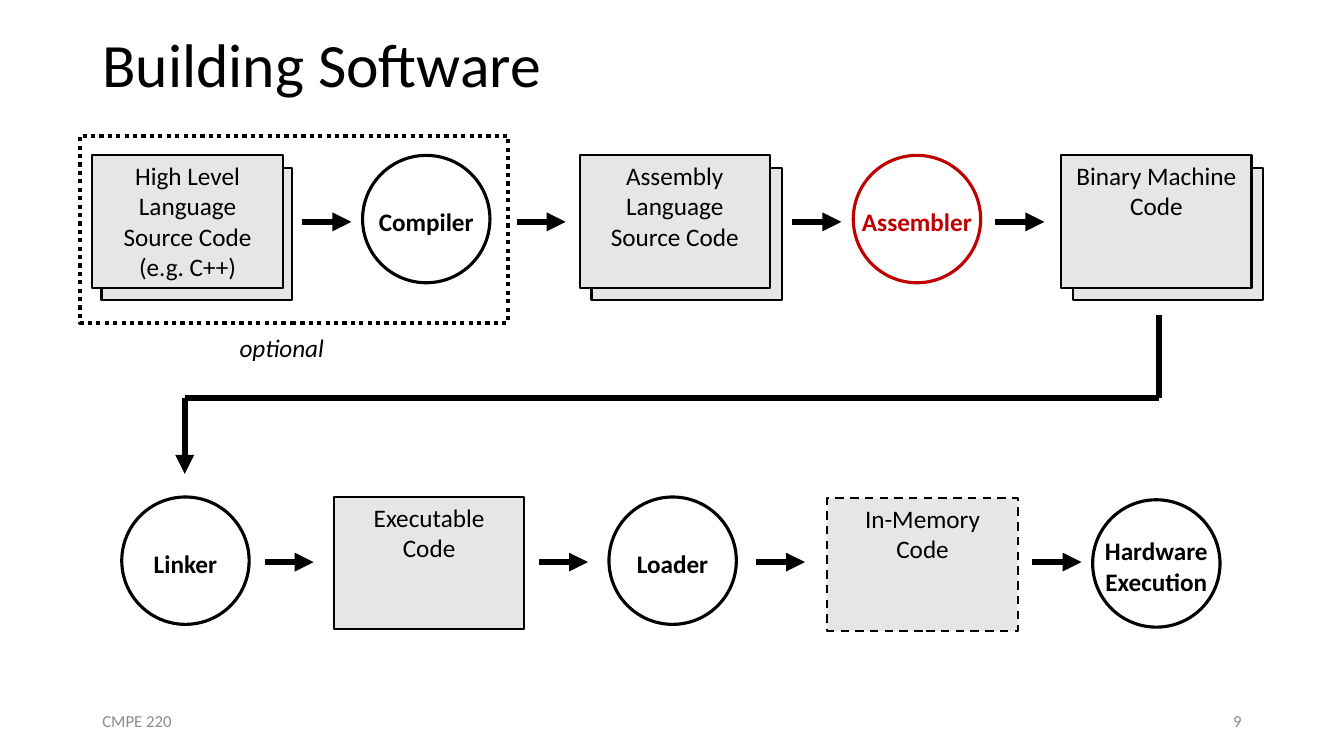
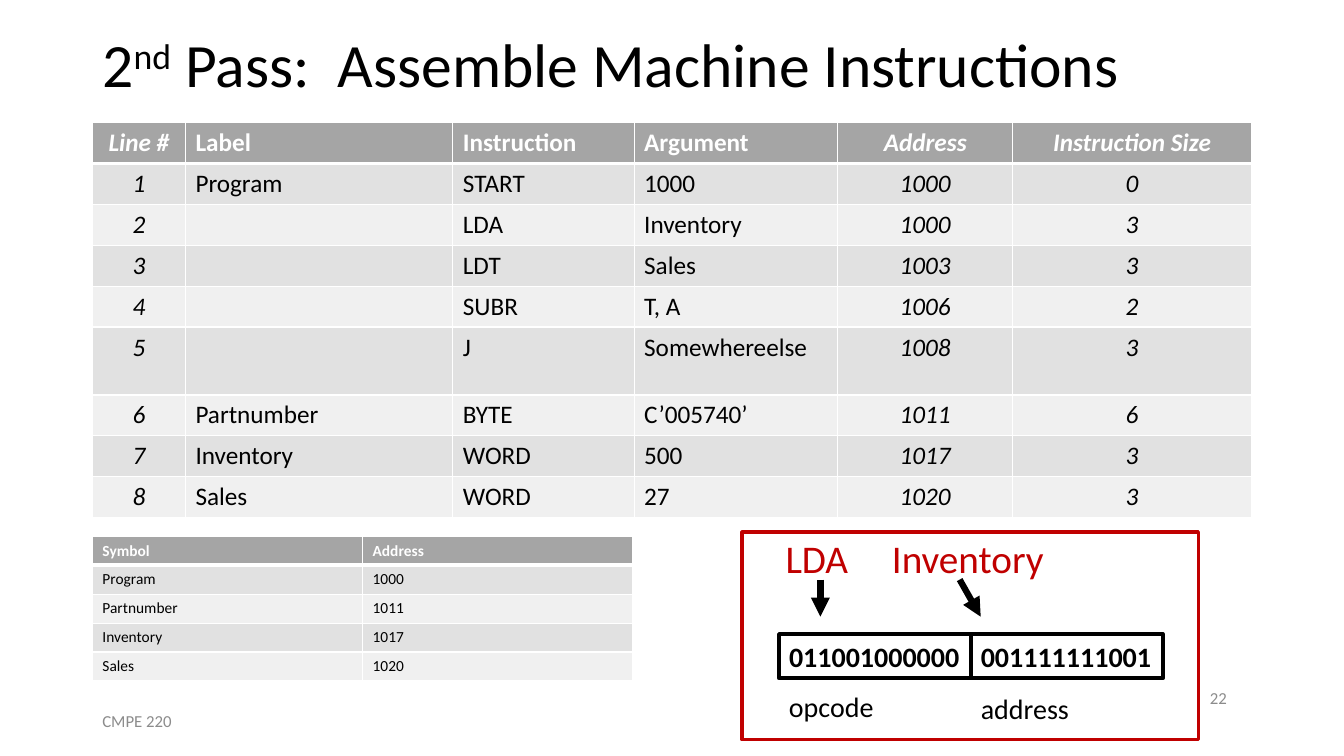
from lxml.etree import SubElement
from pptx import Presentation
from pptx.dml.color import RGBColor
from pptx.enum.dml import MSO_LINE as Dash
from pptx.enum.shapes import MSO_CONNECTOR as Conn, MSO_SHAPE as Shape
from pptx.enum.text import MSO_ANCHOR as Anchor, MSO_AUTO_SIZE as Fit, PP_ALIGN as Align
from pptx.oxml.ns import qn
from pptx.util import Pt

# Shared look
FONT = "Calibri"
BLACK = RGBColor(0x00, 0x00, 0x00)
WHITE = RGBColor(0xFF, 0xFF, 0xFF)
RED = RGBColor(0xC0, 0x00, 0x00)
MUTED = RGBColor(0x8C, 0x8C, 0x8C)
PALE = RGBColor(0xE7, 0xE6, 0xE6)
HEAD = RGBColor(0xA5, 0xA5, 0xA5)
BANDS = RGBColor(0xE1, 0xE1, 0xE1), RGBColor(0xF0, 0xF0, 0xF0)

LEFT, WIDE = 66, 828
BOX_W, BOX_H, DISC = 136, 94.5, 91


# Text
def write(frame, text, size=18, color=BLACK, bold=False, italic=False,
          align=Align.LEFT, anchor=Anchor.TOP, wrap=True, space=None):
    """Each line is a paragraph; parts between ^ signs are superscript."""
    frame.word_wrap = wrap
    frame.vertical_anchor = anchor
    for i, line in enumerate(text.split("\n")):
        para = frame.add_paragraph() if i else frame.paragraphs[0]
        para.alignment = align
        para.line_spacing = space
        for j, part in enumerate(line.split("^")):
            if not part:
                continue
            run = para.add_run()
            run.text = part
            font = run.font
            font.name, font.size = FONT, Pt(size)
            font.bold, font.italic = bold, italic
            font.color.rgb = color
            if j % 2:
                run._r.get_or_add_rPr().set("baseline", "30000")


def label(slide, text, x, y, w, h, **form):
    box = slide.shapes.add_textbox(Pt(x), Pt(y), Pt(w), Pt(h))
    write(box.text_frame, text, **form)


# Shapes and lines
def draw(slide, kind, x, y, w, h, fill=None, line=BLACK, weight=1.5, dash=None):
    shape = slide.shapes.add_shape(kind, Pt(x), Pt(y), Pt(w), Pt(h))
    shape.shadow.inherit = False
    if fill is None:
        shape.fill.background()
    else:
        shape.fill.solid()
        shape.fill.fore_color.rgb = fill
    shape.line.color.rgb = line
    shape.line.width = Pt(weight)
    if dash:
        shape.line.dash_style = dash
    return shape


def code(slide, text, x, y, dash=None):
    box = draw(slide, Shape.RECTANGLE, x, y, BOX_W, BOX_H, PALE, dash=dash)
    write(box.text_frame, text, align=Align.CENTER)


def stack(slide, text, x, y, shift=8.5):
    """A sheet of code with another one behind it."""
    draw(slide, Shape.RECTANGLE, x + shift, y + 9, BOX_W, BOX_H, PALE)
    code(slide, text, x, y)


def tool(slide, text, x, y, color=BLACK):
    disc = draw(slide, Shape.OVAL, x, y, DISC, DISC, line=color, weight=2.25)
    frame = disc.text_frame
    frame.margin_top = Pt(7.2)
    write(frame, text, color=color, bold=True, wrap=False,
          align=Align.CENTER, anchor=Anchor.MIDDLE)


def line(slide, x1, y1, x2, y2, head=True):
    link = slide.shapes.add_connector(Conn.STRAIGHT, Pt(x1), Pt(y1), Pt(x2), Pt(y2))
    link.line.color.rgb = BLACK
    link.line.width = Pt(4.5)
    if head:
        SubElement(link.line._get_or_add_ln(), qn("a:tailEnd"), type="triangle")
    SubElement(link._element.spPr, qn("a:effectLst"))


# Tables
def edge(cell, side, weight):
    ln = SubElement(cell._tc.get_or_add_tcPr(), qn("a:ln" + side), w=str(Pt(weight)))
    fill = SubElement(ln, qn("a:solidFill"))
    SubElement(fill, qn("a:srgbClr"), val=str(WHITE))


def grid(slide, rows, x, y, cols, highs, size, slant=()):
    """Banded table; the columns in slant are italic and centred."""
    frame = slide.shapes.add_table(len(rows), len(cols), Pt(x), Pt(y),
                                   Pt(sum(cols)), Pt(sum(highs)))
    table = frame.table
    table.first_row = table.horz_banding = False
    for col, w in zip(table.columns, cols):
        col.width = Pt(w)
    for i, (row, h) in enumerate(zip(rows, highs)):
        table.rows[i].height = Pt(h)
        for j, text in enumerate(row):
            cell = table.cell(i, j)
            for side in "LRTB":
                thick = (i, side) in ((0, "B"), (1, "T"))
                edge(cell, side, 3 if thick else 1)
            cell.fill.solid()
            cell.fill.fore_color.rgb = BANDS[(i - 1) % 2] if i else HEAD
            write(cell.text_frame, text, size=size, bold=i == 0, italic=j in slant,
                  color=BLACK if i else WHITE,
                  align=Align.CENTER if j in slant else Align.LEFT)


# Slide frame
def start(deck, title, number, x=678, y=500.5):
    """Add a slide with title, footer and a page number at x, y."""
    slide = deck.slides.add_slide(deck.slide_layouts[5])
    head = slide.shapes.title
    head.left, head.top, head.width, head.height = Pt(LEFT), Pt(0), Pt(WIDE), Pt(97)
    head.text_frame.auto_size = Fit.NONE
    write(head.text_frame, title, size=44, anchor=Anchor.MIDDLE, space=0.9)
    foot = dict(size=12, color=MUTED, anchor=Anchor.MIDDLE)
    label(slide, "CMPE 220", LEFT, 500.5, 216, 28.5, **foot)
    label(slide, number, x, y, 216, 28.5, align=Align.RIGHT, **foot)
    return slide


def build(deck):
    slide = start(deck, "Building Software", "9")
    top, low = 111, 355

    # Source to machine code
    stack(slide, "High Level Language Source Code\n(e.g. C++)", 66, top, shift=6.5)
    tool(slide, "Compiler", 259, top)
    stack(slide, "Assembly Language Source Code", 414, top)
    tool(slide, "Assembler", 609.5, top, RED)
    stack(slide, "Binary Machine Code", 758, top)
    draw(slide, Shape.RECTANGLE, 57, 97, 306, 133.5, weight=3, dash=Dash.ROUND_DOT)
    label(slide, "optional", 164, 234, 76, 29, italic=True, wrap=False)

    # Linking to execution
    tool(slide, "Linker", 87, low)
    code(slide, "Executable\nCode", 238.5, low)
    tool(slide, "Loader", 435, low)
    code(slide, "In-Memory\nCode", 591, low + 1, Dash.DASH)
    tool(slide, "Hardware\nExecution", 780.5, low + 2)

    # Arrows
    for y, starts in ((158.5, (216, 369, 566, 711)), (401.5, (189, 385, 540, 737.5))):
        for x in starts:
            line(slide, x, y, x + 35, y)
    turn, down, back = 284.5, 828, 132
    line(slide, down, 225, down, turn, head=False)
    line(slide, down, turn, back, turn, head=False)
    line(slide, back, turn, back, 338.5)


def encode(deck):
    slide = start(deck, "2^nd^ Pass:  Assemble Machine Instructions", "22", 667.5, 484)

    # Program listing
    rows = (
        ("Line #", "Label", "Instruction", "Argument", "Address", "Instruction Size"),
        ("1", "Program", "START", "1000", "1000", "0"),
        ("2", "", "LDA", "Inventory", "1000", "3"),
        ("3", "", "LDT", "Sales", "1003", "3"),
        ("4", "", "SUBR", "T, A", "1006", "2"),
        ("5", "", "J", "Somewhereelse", "1008", "3"),
        ("6", "Partnumber", "BYTE", "C’005740’", "1011", "6"),
        ("7", "Inventory", "WORD", "500", "1017", "3"),
        ("8", "Sales", "WORD", "27", "1020", "3"),
    )
    highs = [48.5 if row[0] == "5" else 29.25 for row in rows]
    grid(slide, rows, LEFT, 87.5, (66.5, 191, 129.5, 145.5, 125, 170.5),
         highs, 18, slant=(0, 4, 5))

    # Symbol table: labelled lines with their addresses
    marks = [("Symbol", "Address")] + [(r[1], r[4]) for r in rows[1:] if r[1]]
    grid(slide, marks, LEFT, 383, (193, 193), [20.7] * len(marks), 11)

    # Encoded instruction
    draw(slide, Shape.RECTANGLE, 530, 380, 326, 148.5, line=RED, weight=2.25)
    parts = (
        ("LDA", 554, "011001000000", "opcode", 489, 586, 586),
        ("Inventory", 630, "001111111001", "address", 490.5, 685.5, 700.5),
    )
    for i, (name, x, bits, note, y, tail, tip) in enumerate(parts):
        left = 556.5 + i * 137
        label(slide, name, x, 378, 140, 41, size=28, color=RED, wrap=False)
        box = draw(slide, Shape.RECTANGLE, left, 453, 137, 31.5, weight=3)
        write(box.text_frame, bits, size=20, bold=True, wrap=False)
        label(slide, note, left, y, 116, 31.5, size=20, wrap=False)
        line(slide, tail, 414, tip, 440.5)


def main():
    deck = Presentation()
    deck.slide_width, deck.slide_height = Pt(960), Pt(540)
    build(deck)
    encode(deck)
    deck.save("out.pptx")


if __name__ == "__main__":
    main()
